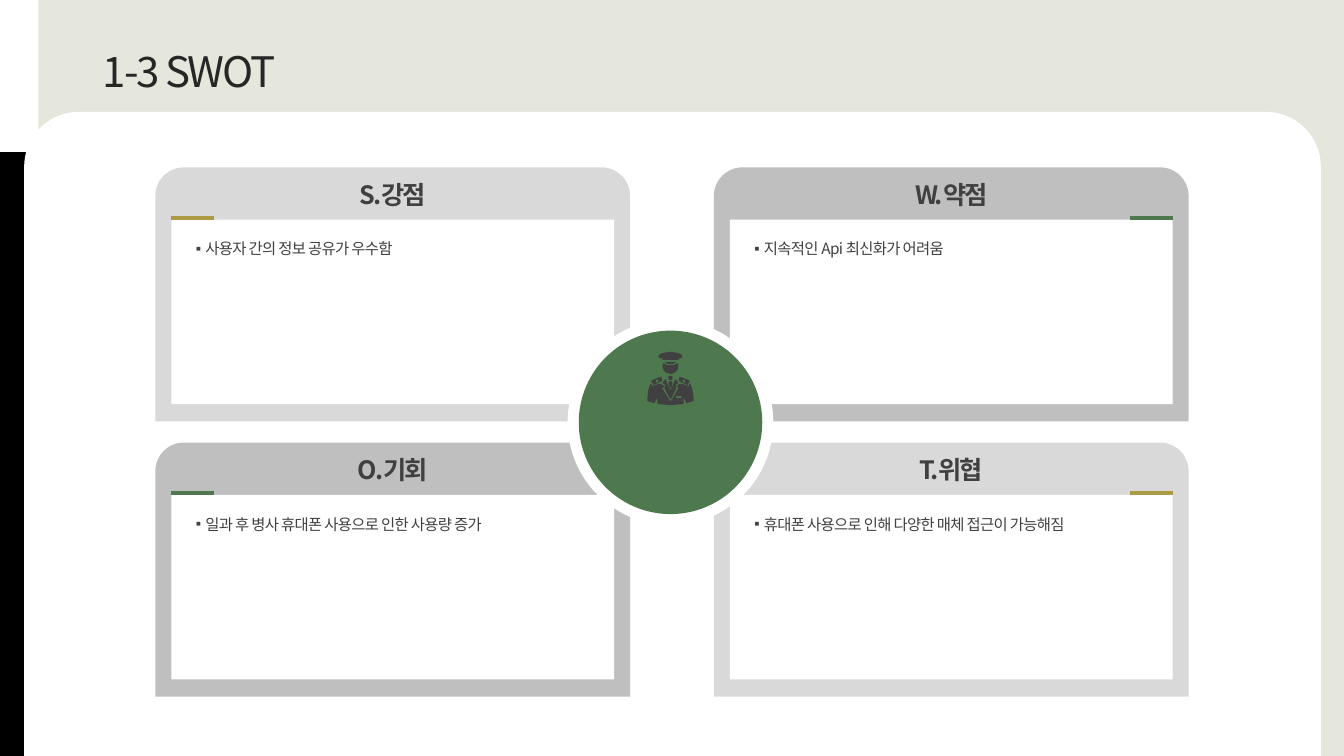
from lxml import etree
from pptx import Presentation
from pptx.dml.color import RGBColor
from pptx.enum.shapes import MSO_CONNECTOR, MSO_SHAPE
from pptx.enum.text import MSO_ANCHOR, PP_ALIGN
from pptx.oxml.ns import qn
from pptx.util import Inches, Pt

RECT = MSO_SHAPE.RECTANGLE
TAB = MSO_SHAPE.ROUND_2_SAME_RECTANGLE
OVAL = MSO_SHAPE.OVAL
STRAIGHT = MSO_CONNECTOR.STRAIGHT
TOP, MIDDLE = MSO_ANCHOR.TOP, MSO_ANCHOR.MIDDLE
LEFT, CENTER = PP_ALIGN.LEFT, PP_ALIGN.CENTER
FONT = "Noto Sans CJK KR"
WHITE, DARK, GREEN, GOLD = "FFFFFF", "404040", "4E784D", "AA9B44"
LIGHT_GREY, MID_GREY = "D9D9D9", "BFBFBF"

deck = Presentation()
deck.slide_width, deck.slide_height = Inches(13.33), Inches(7.5)
page = deck.slides.add_slide(deck.slide_layouts[5])


def add_block(kind, left, top, width, height, color, corner=None):
    block = page.shapes.add_shape(
        kind, Inches(left), Inches(top), Inches(width), Inches(height))
    block.shadow.inherit = False
    block.fill.solid()
    block.fill.fore_color.rgb = RGBColor.from_string(color)
    block.line.fill.background()
    if corner is not None:
        block.adjustments[0] = corner
    return block


def write_text(box, text, size, color, spacing, align, anchor, margins, bold=False):
    frame = box.text_frame
    frame.vertical_anchor = anchor
    frame.margin_left, frame.margin_top, frame.margin_right, frame.margin_bottom = (
        Inches(margin) for margin in margins)
    para = frame.paragraphs[0]
    para.alignment = align
    span = para.add_run()
    span.text = text
    span.font.name, span.font.size, span.font.bold = FONT, Pt(size), bold
    span.font.color.rgb = RGBColor.from_string(color)
    properties = span.font._element
    properties.set("spc", str(int(spacing * 100)))
    etree.SubElement(properties, qn("a:ea"), typeface=FONT)
    return para


# Backdrop
add_block(RECT, 0.38, 0, 12.95, 7.5, "E5E7DD")
add_block(RECT, 0, 1.51, 0.57, 5.99, "000000")
add_block(TAB, 0.24, 1.11, 12.86, 6.39, WHITE, 0.085)

# Title, brought in front of the backdrop
title = page.shapes.title
title.left, title.top = Inches(1.02), Inches(0.45)
title.width, title.height = Inches(1.93), Inches(0.5)
title.element.getparent().append(title.element)
write_text(title, "1-3 SWOT", 30, "262626", -1.5, LEFT, TOP, (0, 0, 0, 0))
title.text_frame.word_wrap = False

# Four panels: heading, point, frame colour, accent colour
panels = [
    ("S.강점", "사용자 간의 정보 공유가 우수함", LIGHT_GREY, GOLD),
    ("W.약점", "지속적인 Api 최신화가 어려움", MID_GREY, GREEN),
    ("O.기회", "일과 후 병사 휴대폰 사용으로 인한 사용량 증가", MID_GREY, GREEN),
    ("T.위협", "휴대폰 사용으로 인해 다양한 매체 접근이 가능해짐", LIGHT_GREY, GOLD),
]
for index, (heading, point, frame_color, accent) in enumerate(panels):
    row, column = divmod(index, 2)
    left, top = 1.54 + 5.54 * column, 1.66 + 2.73 * row
    add_block(TAB, left, top, 4.71, 2.52, frame_color, 0.113)

    card = add_block(RECT, left + 0.16, top + 0.52, 4.39, 1.83, WHITE)
    para = write_text(card, point, 11, DARK, -0.5, LEFT, TOP, (0.2, 0.16, 0.1, 0.05))
    para.line_spacing = 1.2
    layout = para._p.get_or_add_pPr()
    layout.set("marL", str(Inches(0.1)))
    layout.set("indent", str(Inches(-0.1)))
    bullet_color = etree.SubElement(layout, qn("a:buClr"))
    etree.SubElement(bullet_color, qn("a:srgbClr"), val=DARK)
    etree.SubElement(layout, qn("a:buSzPct"), val="90000")
    etree.SubElement(layout, qn("a:buFont"), typeface=FONT)
    etree.SubElement(layout, qn("a:buChar"), char="▪")

    label = page.shapes.add_textbox(
        Inches(left + 0.59), Inches(top + 0.12), Inches(3.53), Inches(0.3))
    label.text_frame.word_wrap = True
    write_text(label, heading, 18, DARK, -1.5, CENTER, MIDDLE, (0, 0, 0, 0), True)

    accent_left = left + 0.16 + 3.97 * column
    dash = page.shapes.add_connector(
        STRAIGHT, Inches(accent_left), Inches(top + 0.5),
        Inches(accent_left + 0.42), Inches(top + 0.5))
    dash.line.color.rgb = RGBColor.from_string(accent)
    dash.line.width = Pt(3)
    etree.SubElement(dash._element.spPr, qn("a:effectLst"))

# Centre badge
add_block(OVAL, 5.63, 3.17, 2.04, 2.04, WHITE)
add_block(OVAL, 5.74, 3.28, 1.82, 1.82, GREEN)

# Officer icon in hundredths of an inch, symmetric about the axis
AXIS = 665
left_halves = [
    # cap, hat band, face
    [(665, 349), (659, 349.5), (655, 351), (653, 353), (654, 355), (656, 356),
     (657, 354), (657, 357), (665, 357)],
    [(665, 359), (659, 359), (662, 361), (665, 361)],
    [(665, 362.5), (661, 362), (657.5, 360), (657, 363), (658, 367), (661, 370), (665, 371)],
    # shirt, tie knot, tie
    [(665, 387), (664, 385), (660, 376), (657, 380), (660, 382), (659, 385),
     (664, 395), (665, 396)],
    [(665, 373), (663, 373), (663, 377), (665, 377)],
    [(665, 378), (664, 378), (663, 380), (664, 384), (665, 385)],
    # coat
    [(665, 398), (664, 397), (657, 385), (659, 383), (656, 381), (653, 381), (647, 383),
     (646, 381), (645, 381), (643, 387), (642, 396), (642, 398), (649, 400), (651, 396),
     (652, 395), (652, 400), (653, 401), (665, 402)],
]
outlines = [half + [(2 * AXIS - x, y) for x, y in reversed(half)] for half in left_halves]

# Epaulettes with a small star, then the coat pocket
epaulette = [(647, 377), (655, 374), (656, 374), (657, 378), (648, 382), (646, 378)]
star = [(651, 376), (652, 377), (653, 377), (653, 378), (653, 379), (652, 379),
        (651, 381), (651, 379), (650, 378), (651, 377)]
for part in (epaulette, star):
    outlines += [part, [(2 * AXIS - x, y) for x, y in part]]
outlines.append([(671, 393), (676, 393), (676, 395), (671, 395)])

pen = page.shapes.build_freeform(*outlines[0][0], scale=Inches(0.01))
for number, outline in enumerate(outlines):
    if number:
        pen.move_to(*outline[0])
    pen.add_line_segments(outline[1:], close=True)
officer = pen.convert_to_shape()
officer.shadow.inherit = False
officer.fill.solid()
officer.fill.fore_color.rgb = RGBColor.from_string(DARK)
officer.line.fill.background()

deck.save("out.pptx")
